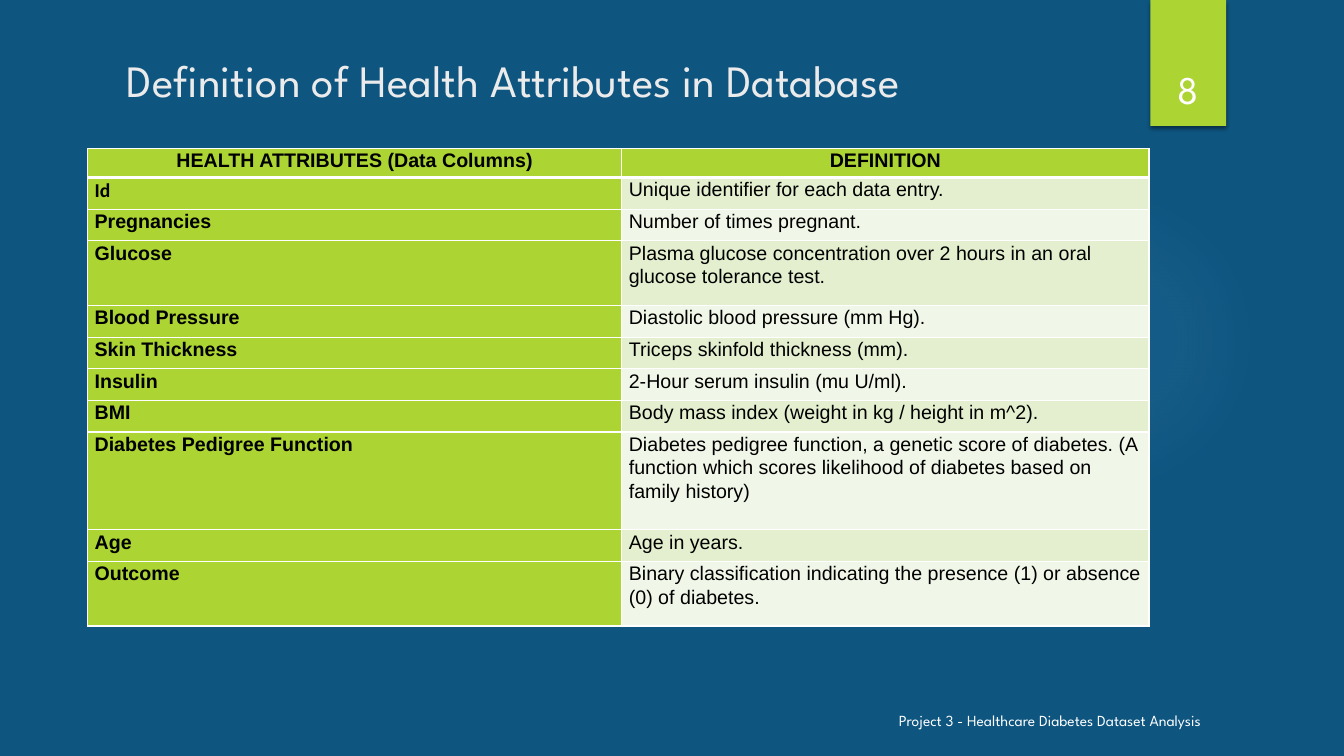
from lxml.etree import SubElement as Sub
from pptx import Presentation
from pptx.dml.color import RGBColor as RGB
from pptx.enum.shapes import MSO_SHAPE as Shape
from pptx.enum.text import MSO_ANCHOR as Anchor, MSO_AUTO_SIZE as Auto, PP_ALIGN as Align
from pptx.oxml import parse_xml
from pptx.oxml.ns import nsdecls, qn
from pptx.util import Pt

HEX = {"back": "0E5580", "glow": "78C4F1", "lime": "ACD433", "odd": "E3EFCE",
       "even": "F1F7E8", "title": "EBEBEB", "white": "FFFFFF", "black": "000000"}
FACE = "League Spartan"

# Name, definition, lines of height
ROWS = [
    ("Id", "Unique identifier for each data entry.", 1),
    ("Pregnancies", "Number of times pregnant.", 1),
    ("Glucose", "Plasma glucose concentration over 2 hours in an oral "
     "glucose tolerance test.", 2),
    ("Blood Pressure", "Diastolic blood pressure (mm Hg).", 1),
    ("Skin Thickness", "Triceps skinfold thickness (mm).", 1),
    ("Insulin", "2-Hour serum insulin (mu U/ml).", 1),
    ("BMI", "Body mass index (weight in kg / height in m^2).", 1),
    ("Diabetes Pedigree Function", "Diabetes pedigree function, a genetic score of "
     "diabetes. (A function which scores likelihood of diabetes based on family history)", 3),
    ("Age", "Age in years.", 1),
    ("Outcome", "Binary classification indicating the presence (1) or "
     "absence (0) of diabetes.", 2),
]


def color(name):
    return RGB.from_string(HEX[name])


def write(frame, text, tone, align=Align.LEFT, space=None, **font):
    """Fill a text frame with one formatted paragraph."""
    para = frame.paragraphs[0]
    para.alignment, para.line_spacing = align, space
    run = para.add_run()
    run.text = text
    run.font.color.rgb = color(tone)
    for key, value in font.items():
        setattr(run.font, key, value)


def place(shape, box):
    for key, value in zip(("left", "top", "width", "height"), box):
        setattr(shape, key, Pt(value))


def label(slide, box, text, size, align=Align.LEFT):
    frame = slide.shapes.add_textbox(*map(Pt, box)).text_frame
    frame.word_wrap, frame.vertical_anchor = True, Anchor.BOTTOM
    write(frame, text, "white", align, name=FACE, size=Pt(size))


def plain(slide, kind, box):
    shape = slide.shapes.add_shape(kind, *map(Pt, box))
    shape.shadow.inherit = False
    shape.line.fill.background()
    return shape


def glow(slide, box):
    props = plain(slide, Shape.OVAL, box)._element.spPr
    stops = "".join(
        f'<a:gs pos="{pos * 1000}"><a:srgbClr val="{HEX["glow"]}">'
        f'<a:alpha val="{alpha * 1000}"/></a:srgbClr></a:gs>'
        for pos, alpha in ((0, 7), (36, 6), (69, 0), (100, 0)))
    grad = parse_xml(
        f'<a:gradFill {nsdecls("a")}><a:gsLst>{stops}</a:gsLst><a:path path="circle">'
        '<a:fillToRect l="50000" t="50000" r="50000" b="50000"/></a:path></a:gradFill>')
    props.find(qn("a:prstGeom")).addnext(grad)


def badge(slide, box, text):
    """Page tab with a soft shadow and the page number."""
    left, top, width, height = box
    tab = plain(slide, Shape.RECTANGLE, box)
    tab.fill.solid()
    tab.fill.fore_color.rgb = color("lime")
    cast = Sub(tab._element.spPr.find(qn("a:effectLst")), qn("a:outerShdw"),
               blurRad=str(Pt(3)), dist=str(Pt(2)), dir="5400000", rotWithShape="0")
    tone = Sub(cast, qn("a:srgbClr"), val=HEX["black"])
    Sub(tone, qn("a:alpha"), val="45000")
    label(slide, (left - 6.3, top + 23, width + 12.3, height - 29.5), text, 28, Align.CENTER)


def heading(slide, box, text):
    title = slide.shapes.title
    place(title, box)
    frame = title.text_frame
    frame.auto_size, frame.vertical_anchor = Auto.NONE, Anchor.MIDDLE
    write(frame, text, "title", name=FACE, size=Pt(32))


def edge(cell, row):
    """White cell borders, heavy below the header row."""
    props = cell._tc.get_or_add_tcPr()
    for side in "LRTB":
        heavy = (side, row) in (("B", 0), ("T", 1))
        line = Sub(props, qn(f"a:ln{side}"), w=str(Pt(3 if heavy else 1)))
        Sub(Sub(line, qn("a:solidFill")), qn("a:srgbClr"), val=HEX["white"])


def fill(cell, row, text, tone, align=Align.LEFT, **font):
    edge(cell, row)
    cell.fill.solid()
    cell.fill.fore_color.rgb = color(tone)
    cell.margin_left = cell.margin_right = Pt(5)
    cell.margin_top = cell.margin_bottom = 0
    write(cell.text_frame, text, "black", align, 1.07, size=Pt(14), **font)


def grid(slide, box):
    table = slide.shapes.add_table(len(ROWS) + 1, 2, *map(Pt, box)).table
    for col, width in zip(table.columns, (381.6, box[2] - 381.6)):
        col.width = Pt(width)
    # Header
    table.rows[0].height = Pt(20.9)
    for col, text in enumerate(("HEALTH ATTRIBUTES (Data Columns)", "DEFINITION")):
        fill(table.cell(0, col), 0, text, "lime", Align.CENTER, name="Arial", bold=True)
    # Body
    for row, (name, text, lines) in enumerate(ROWS, 1):
        table.rows[row].height = Pt(23.6 * lines - 1)
        face = "Calibri" if name == "Id" else "Arial"
        fill(table.cell(row, 0), row, name, "lime", name=face, bold=True)
        fill(table.cell(row, 1), row, text, "odd" if row % 2 else "even",
             name="Arial", bold=False)


def main():
    deck = Presentation()
    deck.slide_width, deck.slide_height = Pt(960), Pt(540)
    slide = deck.slides.add_slide(deck.slide_layouts[5])
    slide.background.fill.solid()
    slide.background.fill.fore_color.rgb = color("back")
    glow(slide, (677.5, 131.8, 221.8, 221.8))
    badge(slide, (821.8, 0, 54, 90), "8")
    heading(slide, (83.5, 30.2, 731.5, 53.3), "Definition of Health Attributes in Database")
    grid(slide, (62.6, 106, 758.2, 341.3))
    label(slide, (635, 501, 303.8, 23.8), "Project 3 - Healthcare Diabetes Dataset Analysis", 11)
    deck.save("out.pptx")


if __name__ == "__main__":
    main()
